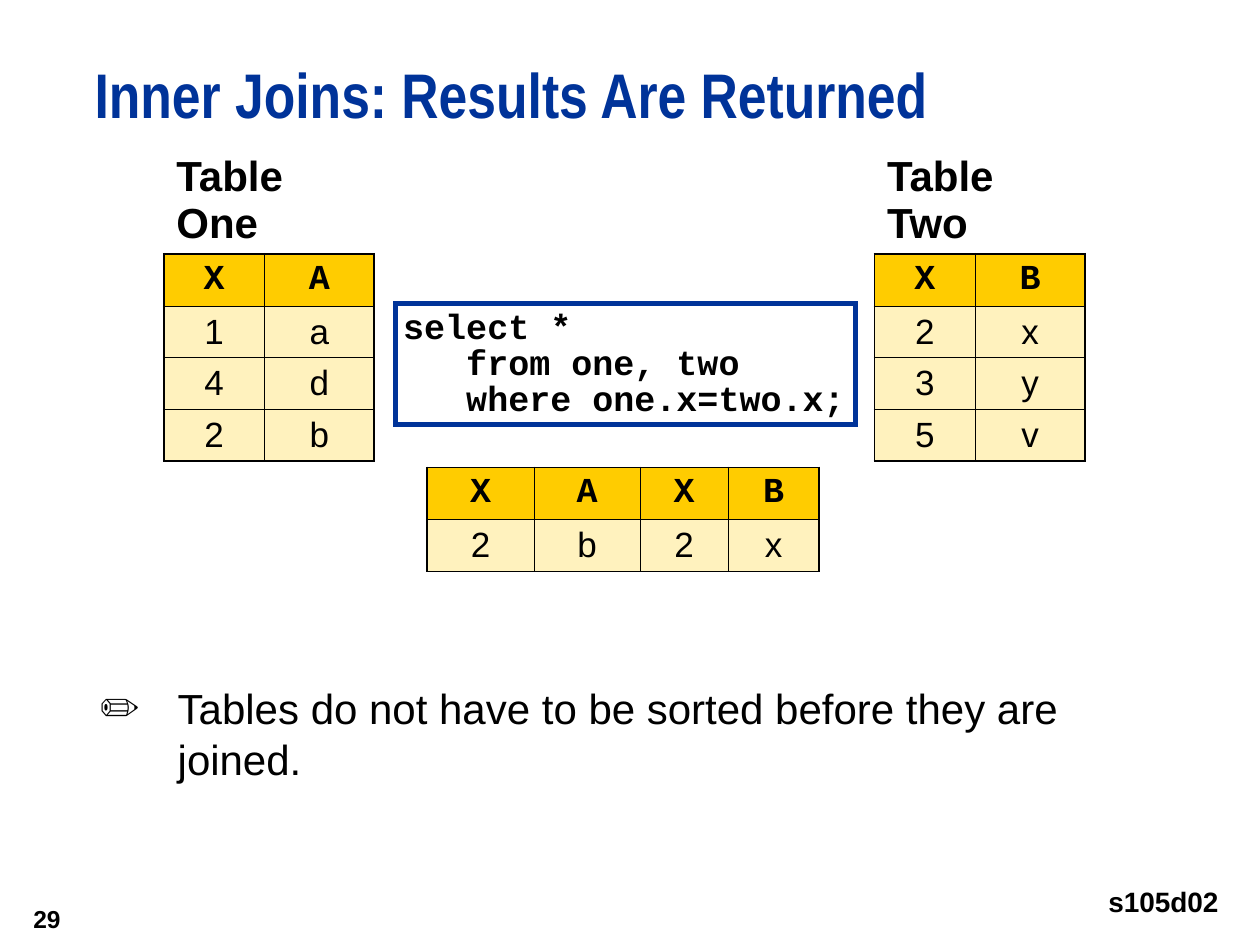
from dataclasses import dataclass

from lxml import etree
from pptx import Presentation
from pptx.dml.color import RGBColor as RGB
from pptx.enum.shapes import MSO_SHAPE as Shape
from pptx.enum.text import MSO_ANCHOR as Anchor, MSO_AUTO_SIZE as Fit, PP_ALIGN as Align
from pptx.oxml.ns import qn
from pptx.util import Inches, Pt

NO_STYLE = "{2D5ABB26-0587-4C30-8999-92F81FD0307C}"


@dataclass(frozen=True)
class Theme:
    # Colours
    blue: str = "003399"
    ink: str = "000000"
    paper: str = "FFFFFF"
    head_fill: str = "FFCC00"
    body_fill: str = "FFF2BE"
    # Fonts
    sans: str = "Arial"
    narrow: str = "Arial Narrow"
    mono: str = "Courier New"
    # Type sizes and line widths in points
    title: int = 36
    text: int = 24
    cell: int = 20
    label: int = 16
    number: int = 14
    thick: float = 1.08
    thin: float = 0.45
    frame: int = 3


class SlideBuilder:
    def __init__(self, slide, theme):
        self.s, self.th = slide, theme

    def _format(self, p, size, font=None, bold=True, color=None, align=Align.LEFT):
        p.alignment = align
        for r in p.runs:
            r.font.size, r.font.bold = Pt(size), bold
            r.font.name = font or self.th.sans
            r.font.color.rgb = RGB.from_string(color or self.th.ink)

    def _frame(self, tf, inset=(0, 0), anchor=Anchor.TOP, wrap=True, fit=Fit.NONE):
        tf.margin_left = tf.margin_right = Inches(inset[0])
        tf.margin_top = tf.margin_bottom = Inches(inset[1])
        tf.vertical_anchor, tf.word_wrap, tf.auto_size = anchor, wrap, fit

    def _border(self, cell, **widths):
        """Draw the given cell sides, in the schema's order."""
        pr = cell._tc.get_or_add_tcPr()
        for i, side in enumerate("LRTB"):
            ln = etree.Element(qn(f"a:ln{side}"))
            if side in widths:
                ln.set("w", str(Pt(widths[side])))
                fill = etree.SubElement(ln, qn("a:solidFill"))
                etree.SubElement(fill, qn("a:srgbClr")).set("val", self.th.ink)
            else:
                etree.SubElement(ln, qn("a:noFill"))
            pr.insert(i, ln)

    def title(self, text, box):
        sp = self.s.shapes.title
        sp.left, sp.top, sp.width, sp.height = map(Inches, box)
        tf = sp.text_frame
        tf.text = text
        self._frame(tf)
        p = tf.paragraphs[0]
        p.line_spacing = Pt(39)
        self._format(p, self.th.title, self.th.narrow, color=self.th.blue)

    def text(self, text, box, size, align=Align.LEFT, bold=True, **frame):
        tf = self.s.shapes.add_textbox(*map(Inches, box)).text_frame
        tf.text = text
        self._frame(tf, **frame)
        self._format(tf.paragraphs[0], size, bold=bold, align=align)
        return tf.paragraphs[0]

    def bullet(self, text, box, char, indent):
        p = self.text(text, box, self.th.text, bold=False)
        pr = p._p.get_or_add_pPr()
        pr.set("marL", str(Inches(indent)))
        pr.set("indent", str(-Inches(indent)))
        etree.SubElement(pr, qn("a:buFont")).set("typeface", self.th.sans)
        etree.SubElement(pr, qn("a:buChar")).set("char", char)

    def code(self, lines, box):
        sp = self.s.shapes.add_shape(Shape.RECTANGLE, *map(Inches, box))
        sp.shadow.inherit = False
        sp.fill.solid()
        sp.fill.fore_color.rgb = RGB.from_string(self.th.paper)
        sp.line.color.rgb = RGB.from_string(self.th.blue)
        sp.line.width = Pt(self.th.frame)
        # Square corners
        etree.SubElement(sp.line._get_or_add_ln(), qn("a:miter")).set("lim", "800000")
        tf = sp.text_frame
        tf.text = "\n".join(lines)
        self._frame(tf, (0.06, 0.06), wrap=False, fit=Fit.SHAPE_TO_FIT_TEXT)
        for p in tf.paragraphs:
            p.line_spacing = 0.85
            self._format(p, self.th.cell, self.th.mono)

    def table(self, caption, rows, at, col_widths, caption_height, row_height):
        """A caption row across all columns, then a header row and data rows."""
        th, last_row, last_col = self.th, len(rows) - 1, len(col_widths) - 1
        height = caption_height + row_height * len(rows)
        frame = self.s.shapes.add_table(
            len(rows) + 1, len(col_widths), *map(Inches, (*at, sum(col_widths), height)))
        t = frame.table
        t._tbl.tblPr.find(qn("a:tableStyleId")).text = NO_STYLE
        for col, width in zip(t.columns, col_widths):
            col.width = Inches(width)
        for i, row in enumerate(t.rows):
            row.height = Inches(row_height if i else caption_height)

        # Caption
        top = t.cell(0, 0)
        top.merge(t.cell(0, last_col))
        top.vertical_anchor = Anchor.MIDDLE
        if caption:
            top.text = caption
            self._format(top.text_frame.paragraphs[0], th.text)
        for c in range(last_col + 1):
            t.cell(0, c).fill.background()
            self._border(t.cell(0, c), B=th.thick)

        # Header and data
        for i, values in enumerate(rows):
            for c, value in enumerate(values):
                cell = t.cell(i + 1, c)
                cell.text = value
                cell.vertical_anchor = Anchor.MIDDLE
                cell.fill.solid()
                cell.fill.fore_color.rgb = RGB.from_string(
                    th.body_fill if i else th.head_fill)
                self._format(cell.text_frame.paragraphs[0], th.cell,
                             th.sans if i else th.mono, bold=i == 0, align=Align.CENTER)
                self._border(cell,
                             L=th.thin if c else th.thick,
                             R=th.thick if c == last_col else th.thin,
                             T=th.thin if i else th.thick,
                             B=th.thick if i == last_row else th.thin)


def main():
    prs = Presentation()
    prs.slide_width, prs.slide_height = Inches(10), Inches(7.5)
    th = Theme()
    b = SlideBuilder(prs.slides.add_slide(prs.slide_layouts[5]), th)

    b.title("Inner Joins: Results Are Returned", (0.75, 0.5, 9.25, 0.75))

    # Joined result
    b.table("", ["XAXB", "2b2x"], (3.39, 3.24), (0.85, 0.84, 0.7, 0.72), 0.47, 0.36)

    # Source tables
    for caption, rows, left in (("Table One", ["XA", "1a", "4d", "2b"], 1.3),
                                ("Table Two", ["XB", "2x", "3y", "5v"], 6.94)):
        b.table(caption, rows, (left, 1.17), (0.8, 0.87), 0.4, 0.34)

    # Query
    b.code(["select *", "   from one, two", "   where one.x=two.x;"],
           (3.14, 2.41, 3.65, 0.96))

    # Remark
    b.bullet("Tables do not have to be sorted before they are joined.",
             (0.79, 5.42, 8.55, 1.33), "✏", 0.62)

    # Page number and program name
    b.text("29", (0, 7.08, 0.58, 0.42), th.number, Align.RIGHT,
           inset=(0.1, 0.05), anchor=Anchor.MIDDLE, wrap=False)
    b.text("s105d02", (8.67, 6.92, 1.1, 0.46), th.label, Align.RIGHT,
           inset=(0.1, 0.1), wrap=False, fit=Fit.SHAPE_TO_FIT_TEXT)

    prs.save("out.pptx")


if __name__ == "__main__":
    main()
